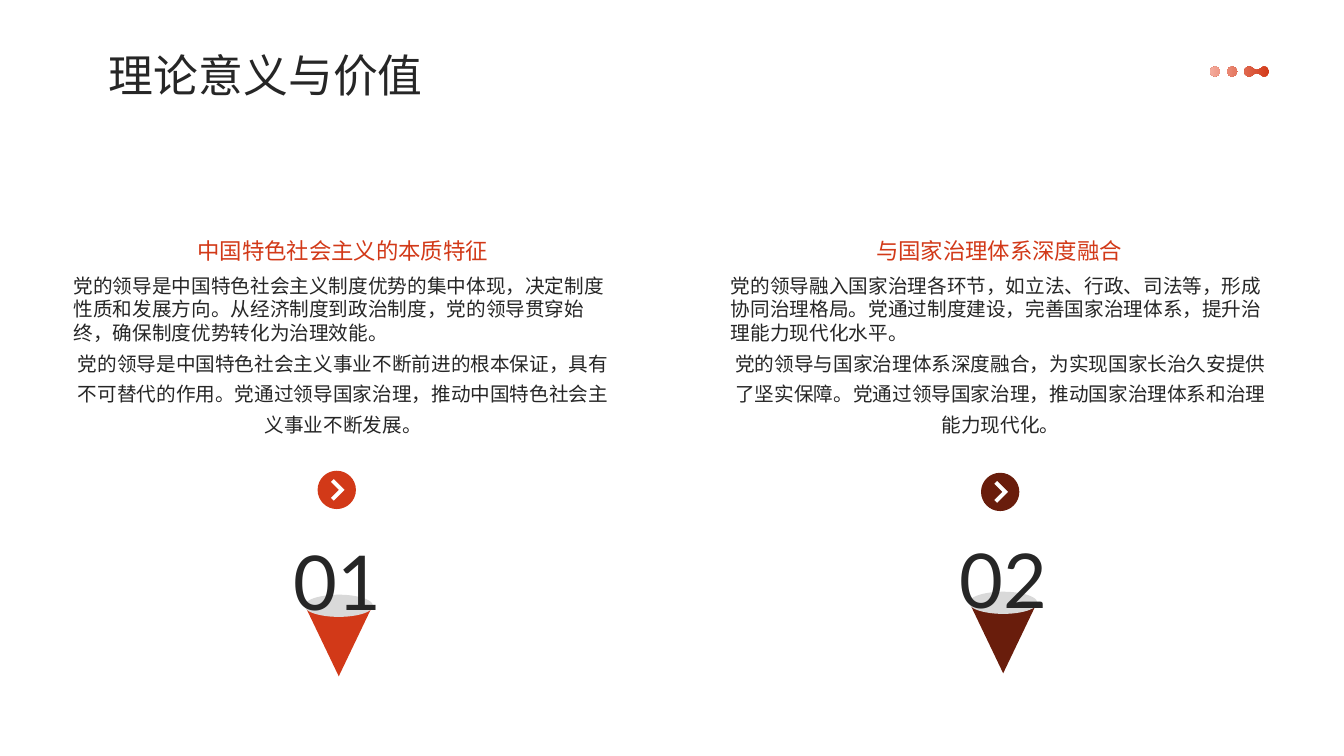
from math import cos, radians, sin, tan

from pptx import Presentation
from pptx.dml.color import RGBColor
from pptx.enum.shapes import MSO_SHAPE
from pptx.enum.text import MSO_ANCHOR, PP_ALIGN
from pptx.oxml.ns import qn
from pptx.util import Inches, Pt

LEFT, CENTER = PP_ALIGN.LEFT, PP_ALIGN.CENTER
TOP, MIDDLE, BOTTOM = MSO_ANCHOR.TOP, MSO_ANCHOR.MIDDLE, MSO_ANCHOR.BOTTOM

# Content
TITLE = "理论意义与价值"
PANELS = [
    {
        "number": "01",
        "heading": "中国特色社会主义的本质特征",
        "body": [
            "党的领导是中国特色社会主义制度优势的集中体现，决定制度性质和发展方向。从经济制度到政治制度，党的领导贯穿始终，确保制度优势转化为治理效能。",
            "党的领导是中国特色社会主义事业不断前进的根本保证，具有不可替代的作用。党通过领导国家治理，推动中国特色社会主义事业不断发展。",
        ],
    },
    {
        "number": "02",
        "heading": "与国家治理体系深度融合",
        "body": [
            "党的领导融入国家治理各环节，如立法、行政、司法等，形成协同治理格局。党通过制度建设，完善国家治理体系，提升治理能力现代化水平。",
            "党的领导与国家治理体系深度融合，为实现国家长治久安提供了坚实保障。党通过领导国家治理，推动国家治理体系和治理能力现代化。",
        ],
    },
]


class Theme:
    red, dark_red, pale_red = "D23918", "691D0C", "F4AB9C"
    ink, grey = "262626", "D9D9D9"
    cjk, latin = "Noto Sans CJK SC", "Lato"
    title, heading, body, number = 32, 16, 14, 54


# Grid, in inches
WIDTH, HEIGHT = 13.33, 7.5
TEXT_X, TEXT_STEP, TEXT_W = 0.73, 6.52, 5.35
AXIS_X, AXIS_STEP = 3.34, 6.58
ARROW_Y, ARROW_R = 4.86, 0.19
CONE_Y, CONE_W, CONE_H = 6.01, 0.67, 0.7
CHEVRON = [(0.08, 0), (-0.03, 0.11), (-0.06, 0.08),
           (0.02, 0), (-0.06, -0.08), (-0.03, -0.11)]
DOT_XS, DOT_Y, DOT_R = [12.05, 12.22, 12.39, 12.54], 0.71, 0.05

prs = Presentation()
prs.slide_width, prs.slide_height = Inches(WIDTH), Inches(HEIGHT)
s = prs.slides.add_slide(prs.slide_layouts[5])


def rgb(color):
    return RGBColor.from_string(color)


def arc(x, y, r, start=0, end=360, pieces=4):
    """Start point, then three Bézier points for each piece of the arc."""
    turn = radians(end - start) / pieces
    k = 4 / 3 * tan(turn / 4)
    points = [(x + r * cos(radians(start)), y + r * sin(radians(start)))]
    for i in range(pieces):
        a = radians(start) + i * turn
        b = a + turn
        points += [(x + r * (cos(a) - k * sin(a)), y + r * (sin(a) + k * cos(a))),
                   (x + r * (cos(b) + k * sin(b)), y + r * (sin(b) - k * cos(b))),
                   (x + r * cos(b), y + r * sin(b))]
    return points


def finish(sp, color):
    sp.shadow.inherit = False
    sp.line.fill.background()
    if color:
        sp.fill.solid()
        sp.fill.fore_color.rgb = rgb(color)
    return sp


def outline(curves, polygons=(), color=None):
    builder = None
    for contour in [*curves, *polygons]:
        points = [(Inches(x), Inches(y)) for x, y in contour]
        if builder is None:
            builder = s.shapes.build_freeform(*points[0])
        else:
            builder.move_to(*points[0])
        builder.add_line_segments(points[1:], close=True)
    sp = builder.convert_to_shape()
    # Each three line points of a curved contour become one Bézier segment
    lines = list(sp._element.iter(qn("a:lnTo")))
    count = sum(len(curve) - 1 for curve in curves)
    for i in range(0, count, 3):
        bezier = lines[i].makeelement(qn("a:cubicBezTo"), {})
        lines[i].addprevious(bezier)
        for line in lines[i:i + 3]:
            bezier.append(line[0])
            line.getparent().remove(line)
    return finish(sp, color)


def write(sp, box, lines, size, font, color, aligns, spacings,
          anchor=TOP, inset=0, wrap=True):
    sp.left, sp.top, sp.width, sp.height = [Inches(v) for v in box]
    tf = sp.text_frame
    tf.text = "\n".join(lines)
    tf.word_wrap, tf.vertical_anchor = wrap, anchor
    tf.margin_left = tf.margin_right = Inches(inset)
    tf.margin_top = tf.margin_bottom = Inches(inset / 2)
    for p, align, spacing in zip(tf.paragraphs, aligns, spacings):
        p.alignment, p.line_spacing = align, spacing
        p.space_before = Pt(0)
        p._p.get_or_add_pPr().set("hangingPunct", "0")
        for r in p.runs:
            r.font.size, r.font.name = Pt(size), font
            r.font.color.rgb = rgb(color)
            rPr = r.font._element
            rPr.append(rPr.makeelement(qn("a:ea"), {"typeface": Theme.cjk}))


def text_box(*args, **kwargs):
    write(s.shapes.add_textbox(0, 0, 0, 0), *args, **kwargs)


# Title
write(s.shapes.title, (1.08, 0.46, 10.76, 0.51), [TITLE], Theme.title,
      Theme.cjk, Theme.ink, [LEFT], [1.1], anchor=MIDDLE)

# Two panels: heading, body, arrow badge and numbered cone
accents = [Theme.red, Theme.dark_red]
for i, panel in enumerate(PANELS):
    x = TEXT_X + i * TEXT_STEP
    axis = AXIS_X + i * AXIS_STEP
    arrow_y = ARROW_Y + i * 0.02
    cone_x, cone_y = axis + 0.02 + i * 0.01, CONE_Y - i * 0.03
    number_x, number_y = axis + i * 0.03, 5.17 - i * 0.02

    outline([], [[(cone_x - CONE_W / 2, cone_y), (cone_x + CONE_W / 2, cone_y),
                  (cone_x, cone_y + CONE_H)]], accents[i])
    finish(s.shapes.add_shape(
        MSO_SHAPE.OVAL, Inches(cone_x - 0.34), Inches(cone_y - 0.11),
        Inches(0.68), Inches(0.22)), Theme.grey)
    outline([arc(axis, arrow_y, ARROW_R)],
            [[(axis + dx, arrow_y + dy) for dx, dy in CHEVRON]], accents[i])

    text_box((x - 0.01 - i * 0.01, 2.28, TEXT_W + 0.01, 0.34),
             [panel["heading"]], Theme.heading, Theme.cjk, Theme.red,
             [CENTER], [1.0], anchor=BOTTOM)
    text_box((x, 2.71, TEXT_W, 1.82), panel["body"], Theme.body, Theme.cjk,
             Theme.ink, [LEFT, CENTER], [Pt(17), Pt(21.8)])
    text_box((number_x - 0.57, number_y, 1.15, 0.92), [panel["number"]],
             Theme.number, Theme.latin, Theme.ink, [CENTER], [1.1],
             inset=0.1, wrap=False)

# Corner dots, the last two joined by a narrow neck
first, second, third, fourth = DOT_XS
neck = (third + fourth) / 2
left_lobe = arc(third, DOT_Y, DOT_R, 36, 324)
right_lobe = arc(fourth, DOT_Y, DOT_R, 216, 504)
dots = outline([
    arc(first, DOT_Y, DOT_R),
    arc(second, DOT_Y, DOT_R),
    left_lobe + [(neck, DOT_Y - 0.01)] * 2 + right_lobe
    + [(neck, DOT_Y + 0.01)] * 2 + left_lobe[:1],
])
dots.fill.gradient()
dots.fill.gradient_angle = 180
for stop, color in zip(dots.fill.gradient_stops, [Theme.red, Theme.pale_red]):
    stop.color.rgb = rgb(color)

prs.save("out.pptx")
